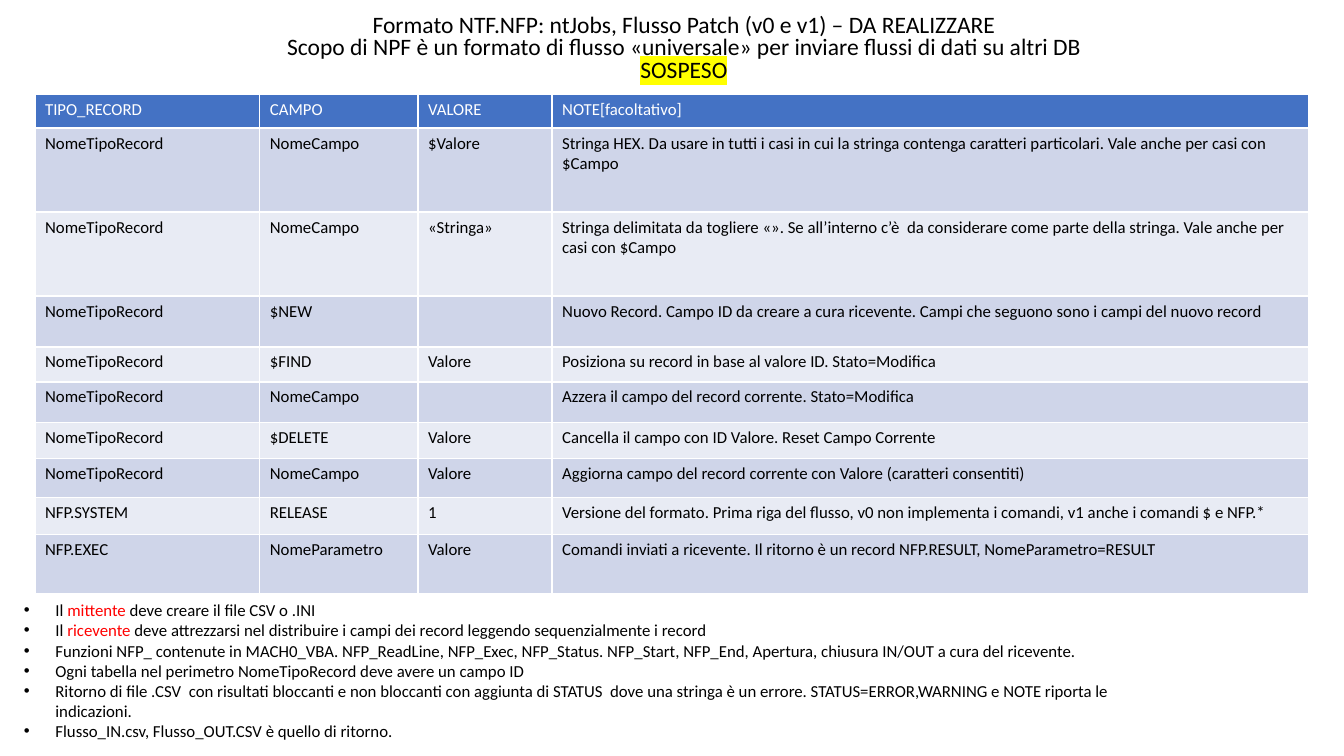
import pptx
import pptx.util
import pptx.dml.color
import pptx.enum.text
import pptx.oxml
import pptx.oxml.ns
from dataclasses import dataclass

Pt = pptx.util.Pt
Align = pptx.enum.text.PP_ALIGN
Anchor = pptx.enum.text.MSO_ANCHOR

# Content: a run is plain text or (text, format)
RED = {"color": "FF0000"}
TITLE = [[
    "Formato NTF.NFP: ntJobs, Flusso Patch (v0 e v1) – DA REALIZZARE\n",
    "Scopo di NPF è un formato di flusso «universale» per inviare flussi di dati su altri DB\n",
    ("SOSPESO", {"highlight": "FFFF00"}),
]]
HEADER = ("TIPO_RECORD", "CAMPO", "VALORE", "NOTE[facoltativo]")
RECORDS = [
    ("NomeTipoRecord", "NomeCampo", "$Valore",
     "Stringa HEX. Da usare in tutti i casi in cui la stringa contenga caratteri "
     "particolari. Vale anche per casi con $Campo"),
    ("NomeTipoRecord", "NomeCampo", "«Stringa»",
     "Stringa delimitata da togliere «». Se all’interno c’è  da considerare come parte "
     "della stringa. Vale anche per casi con $Campo"),
    ("NomeTipoRecord", "$NEW", "",
     "Nuovo Record. Campo ID da creare a cura ricevente. Campi che seguono sono i campi "
     "del nuovo record"),
    ("NomeTipoRecord", "$FIND", "Valore",
     "Posiziona su record in base al valore ID. Stato=Modifica"),
    ("NomeTipoRecord", "NomeCampo", "",
     "Azzera il campo del record corrente. Stato=Modifica"),
    ("NomeTipoRecord", "$DELETE", "Valore",
     "Cancella il campo con ID Valore. Reset Campo Corrente"),
    ("NomeTipoRecord", "NomeCampo", "Valore",
     "Aggiorna campo del record corrente con Valore (caratteri consentiti)"),
    ("NFP.SYSTEM", "RELEASE", "1",
     "Versione del formato. Prima riga del flusso, v0 non implementa i comandi, "
     "v1 anche i comandi $ e NFP.*"),
    ("NFP.EXEC", "NomeParametro", "Valore",
     "Comandi inviati a ricevente. Il ritorno è un record NFP.RESULT, NomeParametro=RESULT"),
]
RULES = [
    ["Il ", ("mittente", RED), " deve creare il file CSV o .INI"],
    ["Il ", ("ricevente", RED),
     " deve attrezzarsi nel distribuire i campi dei record leggendo sequenzialmente i record"],
    ["Funzioni NFP_ contenute in MACH0_VBA. NFP_ReadLine, NFP_Exec, NFP_Status. NFP_Start, "
     "NFP_End, Apertura, chiusura IN/OUT a cura del ricevente."],
    ["Ogni tabella nel perimetro NomeTipoRecord deve avere un campo ID"],
    ["Ritorno di file .CSV  con risultati bloccanti e non bloccanti con aggiunta di STATUS  "
     "dove una stringa è un errore. STATUS=ERROR,WARNING e NOTE riporta le indicazioni."],
    ["Flusso_IN.csv, Flusso_OUT.CSV è quello di ritorno."],
]

# Layout in points: left, top, width, height
SLIDE = (960, 540)
TITLE_AT = (75, 5.8, 827, 58.3)
TABLE_AT = (25, 67.5)
COLUMN_WIDTHS = (160.6, 113, 95.8, 540.6)
ROW_HEIGHTS = (24, 60, 60, 36.4, 25, 28.8, 25.4, 27.9, 26.6, 42)
RULES_AT = (10, 425, 842, 108)


@dataclass(frozen=True)
class Theme:
    font: str = "Calibri"
    title_size: float = 16.8
    body_size: float = 12
    ink: str = "000000"
    white: str = "FFFFFF"
    header: str = "4472C4"
    bands: tuple = ("CFD5E9", "E8EBF4")
    border: float = 0.96
    bullet_indent: float = 22.5


THEME = Theme()


def rgb(value):
    return pptx.dml.color.RGBColor.from_string(value)


def xml(tag, attributes="", inner=""):
    namespace = pptx.oxml.ns.nsdecls("a")
    return pptx.oxml.parse_xml(f"<a:{tag} {namespace} {attributes}>{inner}</a:{tag}>")


def solid(color):
    return f'<a:solidFill><a:srgbClr val="{color}"/></a:solidFill>'


def add_span(para, text, size, color, highlight=None):
    span = para.add_run()
    span.text = text
    span.font.size = Pt(size)
    span.font.color.rgb = rgb(color)
    span.font.name = THEME.font
    if highlight:
        fill = span.font._element.find(pptx.oxml.ns.qn("a:solidFill"))
        fill.addnext(xml("highlight", inner=f'<a:srgbClr val="{highlight}"/>'))


def write(frame, paragraphs, size=THEME.body_size, color=THEME.ink,
          align=Align.LEFT, spacing=None, bullet=False):
    """Fill a text frame with paragraphs, each a list of runs."""
    for index, runs in enumerate(paragraphs):
        para = frame.add_paragraph() if index else frame.paragraphs[0]
        para.alignment = align
        if spacing:
            para.line_spacing = spacing
        if bullet:
            properties = para._p.get_or_add_pPr()
            indent = Pt(THEME.bullet_indent)
            properties.set("marL", str(indent))
            properties.set("indent", str(-indent))
            properties.append(xml("buFont", 'typeface="Arial"'))
            properties.append(xml("buChar", 'char="•"'))
        for run in runs:
            text, style = (run, {}) if isinstance(run, str) else run
            add_span(para, text.rstrip("\n"), **{"size": size, "color": color, **style})
            if text.endswith("\n"):
                para.add_line_break()


def format_cell(cell, text, fill, color):
    if text:
        write(cell.text_frame, [[text]], color=color)
    properties = cell._tc.get_or_add_tcPr()
    for side in ("lnL", "lnR", "lnT", "lnB"):
        properties.append(xml(side, f'w="{Pt(THEME.border)}"', solid(THEME.white)))
    cell.fill.solid()
    cell.fill.fore_color.rgb = rgb(fill)


def add_title(page):
    title = page.shapes.title
    title.left, title.top, title.width, title.height = map(Pt, TITLE_AT)
    title.text_frame.auto_size = pptx.enum.text.MSO_AUTO_SIZE.NONE
    title.text_frame.vertical_anchor = Anchor.MIDDLE
    write(title.text_frame, TITLE, size=THEME.title_size, align=Align.CENTER, spacing=0.8)


def add_records(page):
    rows = [HEADER] + RECORDS
    size = (sum(COLUMN_WIDTHS), sum(ROW_HEIGHTS))
    table = page.shapes.add_table(len(rows), len(HEADER), *map(Pt, TABLE_AT + size)).table
    for column, width in zip(table.columns, COLUMN_WIDTHS):
        column.width = Pt(width)
    for index, (row, height, texts) in enumerate(zip(table.rows, ROW_HEIGHTS, rows)):
        row.height = Pt(height)
        fill = THEME.bands[(index - 1) % 2] if index else THEME.header
        color = THEME.ink if index else THEME.white
        for cell, text in zip(row.cells, texts):
            format_cell(cell, text, fill, color)


def add_rules(page):
    box = page.shapes.add_textbox(*map(Pt, RULES_AT))
    box.text_frame.word_wrap = True
    write(box.text_frame, RULES, bullet=True)


def main():
    deck = pptx.Presentation()
    deck.slide_width, deck.slide_height = map(Pt, SLIDE)
    page = deck.slides.add_slide(deck.slide_layouts[5])
    add_title(page)
    add_records(page)
    add_rules(page)
    deck.save("out.pptx")


if __name__ == "__main__":
    main()
